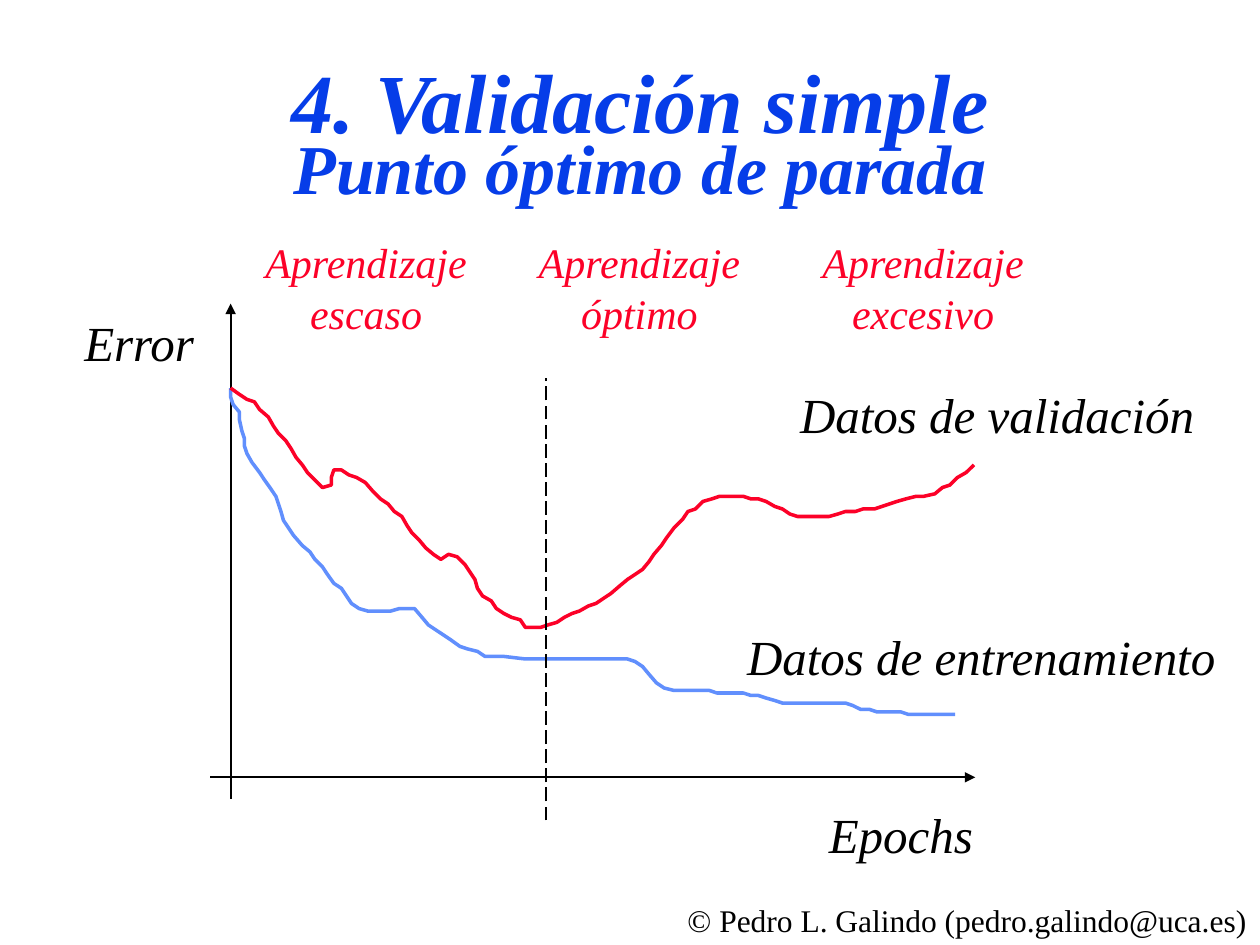
from dataclasses import dataclass

from lxml.etree import SubElement
from pptx import Presentation
from pptx.dml.color import RGBColor
from pptx.enum.dml import MSO_LINE
from pptx.enum.shapes import MSO_CONNECTOR
from pptx.enum.text import MSO_ANCHOR, MSO_AUTO_SIZE, PP_ALIGN
from pptx.oxml.ns import qn
from pptx.util import Cm, Pt

BLACK = RGBColor(0x00, 0x00, 0x00)
TITLE_BLUE = RGBColor(0x06, 0x3D, 0xE8)
TRAINING_BLUE = RGBColor(0x61, 0x8F, 0xFD)
RED = RGBColor(0xFC, 0x01, 0x28)
FONT = "Times New Roman"
CURVE_UNIT = Cm(0.0254)  # curve points lie on this grid


@dataclass
class Label:
    lines: tuple[str, ...]
    left: float
    top: float
    width: float
    height: float = 1.42
    size: int = 28
    color: RGBColor = BLACK
    italic: bool = True
    centered: bool = False


@dataclass
class Line:
    start: tuple[float, float]
    end: tuple[float, float]
    arrow: bool = True


@dataclass
class Curve:
    color: RGBColor
    points: list[tuple[int, int]]


AXES = [Line((4.65, 16.1), (4.65, 6.12)), Line((4.24, 15.67), (19.66, 15.67))]
STOPPING_POINT = Line((11, 16.54), (11, 7.62), arrow=False)

TRAINING = Curve(TRAINING_BLUE, [
    (183, 308), (183, 315), (185, 321), (190, 327), (190, 333), (192, 342),
    (194, 348), (194, 354), (196, 360), (200, 367), (206, 375), (210, 381),
    (215, 388), (219, 394), (221, 400), (223, 406), (225, 413), (229, 419),
    (233, 425), (240, 433), (246, 438), (250, 444), (256, 450), (260, 456),
    (265, 463), (271, 467), (275, 473), (279, 479), (285, 483), (292, 485),
    (310, 485), (317, 483), (329, 483), (335, 490), (340, 496), (346, 500),
    (352, 504), (358, 508), (365, 513), (371, 515), (379, 517), (385, 521),
    (400, 521), (417, 523), (498, 523), (504, 525), (510, 529), (515, 535),
    (521, 542), (527, 546), (535, 548), (563, 548), (569, 550), (590, 550),
    (596, 552), (602, 552), (608, 554), (615, 556), (621, 558), (671, 558),
    (677, 560), (683, 563), (690, 563), (696, 565), (715, 565), (721, 567),
    (758, 567),
])
VALIDATION = Curve(RED, [
    (183, 308), (190, 313), (196, 317), (202, 319), (206, 325), (213, 331),
    (217, 338), (221, 344), (227, 350), (231, 356), (235, 363), (240, 369),
    (244, 375), (250, 381), (256, 387), (263, 385), (263, 379), (265, 373),
    (271, 373), (277, 377), (283, 379), (290, 383), (296, 390), (302, 396),
    (308, 400), (313, 406), (319, 410), (323, 417), (327, 423), (333, 429),
    (338, 435), (344, 440), (350, 444), (356, 440), (363, 442), (369, 448),
    (373, 454), (377, 460), (379, 467), (383, 473), (390, 477), (394, 483),
    (400, 487), (406, 490), (413, 492), (417, 498), (429, 498), (435, 496),
    (442, 494), (448, 490), (454, 487), (460, 485), (467, 481), (473, 479),
    (479, 475), (485, 471), (492, 465), (498, 460), (504, 456), (510, 452),
    (515, 446), (519, 440), (525, 433), (529, 427), (535, 419), (542, 412),
    (546, 406), (552, 404), (558, 398), (565, 396), (571, 394), (590, 394),
    (596, 396), (602, 396), (608, 398), (615, 402), (621, 404), (627, 408),
    (633, 410), (658, 410), (665, 408), (671, 406), (679, 406), (685, 404),
    (694, 404), (700, 402), (706, 400), (712, 398), (719, 396), (727, 394),
    (733, 394), (742, 392), (748, 387), (754, 385), (760, 379), (767, 375),
    (773, 369),
])

LABELS = [
    Label(("Datos de entrenamiento",), 14.81, 12.5, 9.98),
    Label(("Datos de validación",), 15.88, 7.62, 8.46),
    Label(("Error",), 1.45, 6.17, 2.74),
    Label(("Epochs",), 16.46, 16.1, 3.5),
    Label(("© Pedro L. Galindo (pedro.galindo@uca.es)",), 13.61, 18.03, 11.79,
          height=1.02, size=18, italic=False),
]
LEARNING_STAGES = [("escaso", 5.08), ("óptimo", 10.59), ("excesivo", 16.31)]


def add_run(paragraph, text: str, size: int, color: RGBColor,
            bold: bool = False, italic: bool = True) -> None:
    run = paragraph.add_run()
    run.text = text
    run.font.name = FONT
    run.font.size = Pt(size)
    run.font.bold = bold
    run.font.italic = italic
    run.font.color.rgb = color


def add_title(slide) -> None:
    title = slide.shapes.title
    title.left, title.top = Cm(2.11), Cm(1.27)
    title.width, title.height = Cm(21.59), Cm(3.18)
    title.text_frame.vertical_anchor = MSO_ANCHOR.MIDDLE
    paragraph = title.text_frame.paragraphs[0]
    paragraph.alignment = PP_ALIGN.CENTER
    paragraph.line_spacing = 0.7
    add_run(paragraph, "4. Validación simple", 48, TITLE_BLUE, bold=True)
    paragraph.add_line_break()
    add_run(paragraph, "Punto óptimo de parada", 40, TITLE_BLUE, bold=True)


def add_line(slide, line: Line) -> None:
    connector = slide.shapes.add_connector(
        MSO_CONNECTOR.STRAIGHT, *(Cm(value) for value in line.start + line.end))
    connector.line.color.rgb = BLACK
    connector.line.width = Pt(1)
    if line.arrow:
        SubElement(connector.line._get_or_add_ln(), qn("a:tailEnd"), type="triangle")
    else:
        connector.line.dash_style = MSO_LINE.LONG_DASH
    SubElement(connector._element.spPr, qn("a:effectLst"))


def add_curve(slide, curve: Curve) -> None:
    start, *others = curve.points
    builder = slide.shapes.build_freeform(*start, scale=CURVE_UNIT)
    builder.add_line_segments(others, close=False)
    shape = builder.convert_to_shape()
    shape.shadow.inherit = False
    shape.fill.background()
    shape.line.color.rgb = curve.color
    shape.line.width = Pt(2)


def add_label(slide, label: Label) -> None:
    box = slide.shapes.add_textbox(
        Cm(label.left), Cm(label.top), Cm(label.width), Cm(label.height))
    frame = box.text_frame
    frame.word_wrap = label.centered
    frame.auto_size = MSO_AUTO_SIZE.SHAPE_TO_FIT_TEXT
    for index, text in enumerate(label.lines):
        paragraph = frame.add_paragraph() if index else frame.paragraphs[0]
        paragraph.alignment = PP_ALIGN.CENTER if label.centered else PP_ALIGN.LEFT
        add_run(paragraph, text, label.size, label.color, italic=label.italic)


def main() -> None:
    presentation = Presentation()
    presentation.slide_width, presentation.slide_height = Cm(25.4), Cm(19.05)
    slide = presentation.slides.add_slide(presentation.slide_layouts[5])
    add_title(slide)

    # Error plot
    for axis in AXES:
        add_line(slide, axis)
    for curve in (TRAINING, VALIDATION):
        add_curve(slide, curve)
    add_line(slide, STOPPING_POINT)

    # Plot labels, copyright and learning stages
    for label in LABELS:
        add_label(slide, label)
    for stage, left in LEARNING_STAGES:
        add_label(slide, Label(("Aprendizaje", stage), left, 4.65, 4.6, height=3.3,
                               size=24, color=RED, centered=True))

    presentation.save("out.pptx")


if __name__ == "__main__":
    main()
